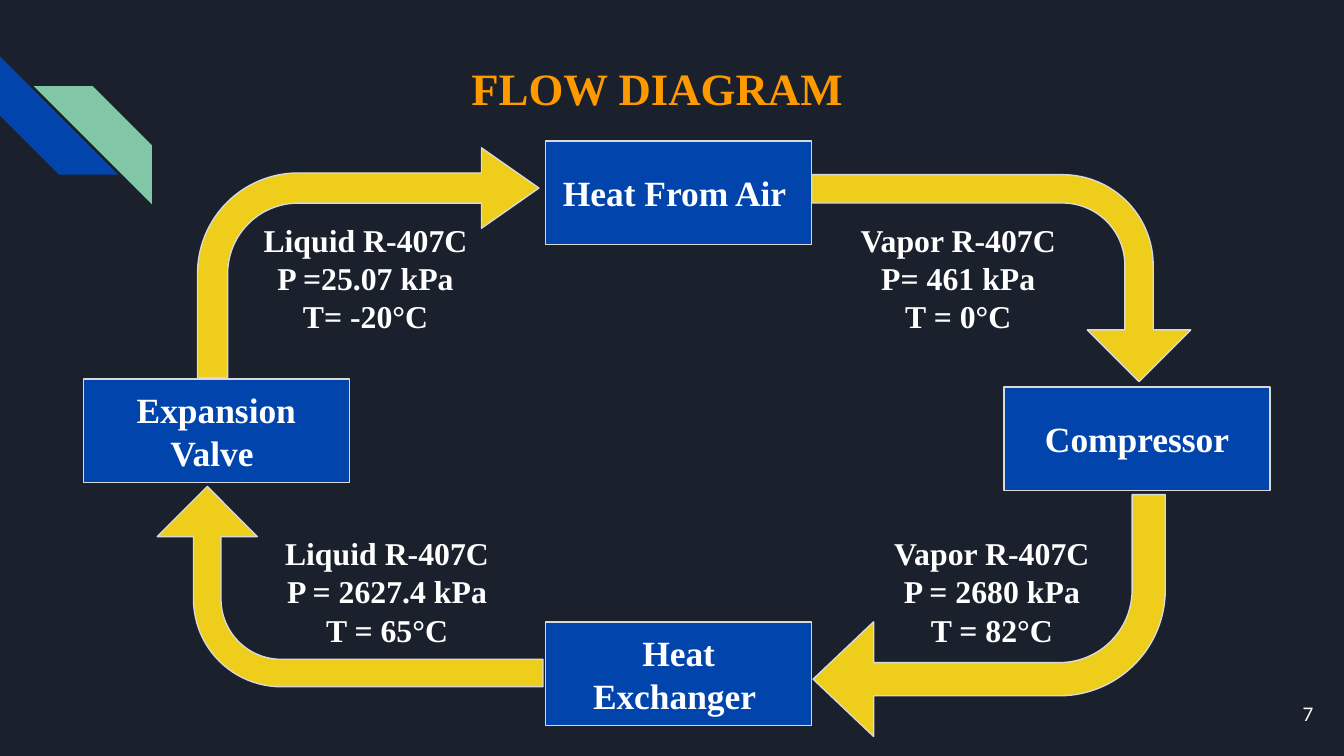
from typing import NamedTuple

from pptx import Presentation
from pptx import util as u
from pptx.dml.color import RGBColor
from pptx.enum import shapes, text

BACKGROUND, BLUE, GREEN = "1B212C", "0145AC", "82C7A5"
YELLOW, ORANGE, WHITE, GREY = "EECE1A", "FF9900", "FFFFFF", "D9D9D9"
SERIF = "Times New Roman"
STAGE_SIZE = (1.98, 0.77)
LABEL_SIZE = (1.88, 0.9)


class Stage(NamedTuple):
    name: str
    left: float
    top: float


class Flow(NamedTuple):
    left: float
    top: float
    width: float
    height: float
    rotation: int
    shaft: float = 0.137
    head: float = 0.25


class State(NamedTuple):
    lines: tuple[str, ...]
    left: float
    top: float


STAGES = [
    Stage("Heat From Air ", 4.06, 1.05),
    Stage("Compressor", 7.47, 2.88),
    Stage("Expansion Valve ", 0.62, 2.82),
    Stage("Heat Exchanger ", 4.06, 4.63),
]
FLOWS = [
    Flow(6.68, 0.66, 1.54, 2.82, 90),
    Flow(6.05, 3.68, 2.62, 1.8, 180, head=0.237),
    Flow(1.86, 2.93, 1.49, 2.87, 270),
    Flow(1.47, 1.1, 2.54, 1.71, 0, shaft=0.131, head=0.175),
]
STATES = [
    State(("Vapor R-407C", "P= 461 kPa", "T = 0°C"), 6.19, 1.62),
    State(("Vapor R-407C", "P = 2680 kPa", "T = 82°C"), 6.44, 3.95),
    State(("Liquid R-407C", "P = 2627.4 kPa", "T = 65°C"), 1.94, 3.95),
    State(("Liquid R-407C", "P =25.07 kPa", "T= -20°C"), 1.78, 1.62),
]


def color(value: str) -> RGBColor:
    return RGBColor.from_string(value)


def write(shape, lines, size: float, font: str = SERIF, fill: str = WHITE,
          bold: bool = True, align=text.PP_ALIGN.CENTER,
          anchor=text.MSO_ANCHOR.MIDDLE) -> None:
    frame = shape.text_frame
    frame.word_wrap = True
    frame.vertical_anchor = anchor
    frame.margin_left = frame.margin_right = u.Inches(0.1)
    frame.margin_top = frame.margin_bottom = u.Inches(0.1)
    frame.text = "\n".join(lines)
    for paragraph in frame.paragraphs:
        paragraph.alignment = align
        paragraph.font.name = font
        paragraph.font.size = u.Pt(size)
        paragraph.font.bold = bold
        paragraph.font.color.rgb = color(fill)


def add_text(slide, left: float, top: float, width: float, height: float,
             lines, size: float, **style) -> None:
    box = slide.shapes.add_textbox(*map(u.Inches, (left, top, width, height)))
    write(box, lines, size, **style)


def add_shape(slide, kind, left: float, top: float, width: float,
              height: float, fill: str, line: str | None = None):
    shape = slide.shapes.add_shape(
        kind, *map(u.Inches, (left, top, width, height)))
    shape.shadow.inherit = False
    shape.fill.solid()
    shape.fill.fore_color.rgb = color(fill)
    if line:
        shape.line.color.rgb = color(line)
        shape.line.width = u.Pt(0.75)
    else:
        shape.line.fill.background()
    return shape


def add_stage(slide, stage: Stage) -> None:
    shape = add_shape(slide, shapes.MSO_SHAPE.RECTANGLE, stage.left,
                      stage.top, *STAGE_SIZE, BLUE, GREY)
    write(shape, [stage.name], 19)


def add_flow(slide, flow: Flow) -> None:
    arrow = add_shape(slide, shapes.MSO_SHAPE.BENT_ARROW, flow.left, flow.top,
                      flow.width, flow.height, YELLOW, GREY)
    arrow.rotation = flow.rotation
    for index, value in enumerate((flow.shaft, flow.head, 0.25, 0.438)):
        arrow.adjustments[index] = value


def main() -> None:
    # Widescreen 16:9 slide
    presentation = Presentation()
    presentation.slide_width = u.Inches(10)
    presentation.slide_height = u.Inches(10 * 9 / 16)
    slide = presentation.slides.add_slide(presentation.slide_layouts[6])
    slide.background.fill.solid()
    slide.background.fill.fore_color.rgb = color(BACKGROUND)

    # Corner stripes
    stripe = shapes.MSO_SHAPE.DIAGONAL_STRIPE
    blue_stripe = add_shape(slide, stripe, 0, 0.42, 0.88, 0.88, BLUE)
    blue_stripe.rotation = 270
    green_stripe = add_shape(slide, stripe, 0.25, 0.64, 0.88, 0.88, GREEN)
    green_stripe._element.spPr.xfrm.set("flipH", "1")

    # Title and page number
    add_text(slide, 1.34, 0.35, 7.18, 0.61, ["FLOW DIAGRAM "], 24,
             fill=ORANGE, anchor=text.MSO_ANCHOR.TOP)
    add_text(slide, 9.27, 5.1, 0.6, 0.43, ["7"], 10, font="Lato",
             bold=False, align=text.PP_ALIGN.RIGHT)

    # Refrigerant cycle
    for stage in STAGES:
        add_stage(slide, stage)
    for flow in FLOWS:
        add_flow(slide, flow)
    for state in STATES:
        add_text(slide, state.left, state.top, *LABEL_SIZE, state.lines, 17)

    presentation.save("out.pptx")


if __name__ == "__main__":
    main()
